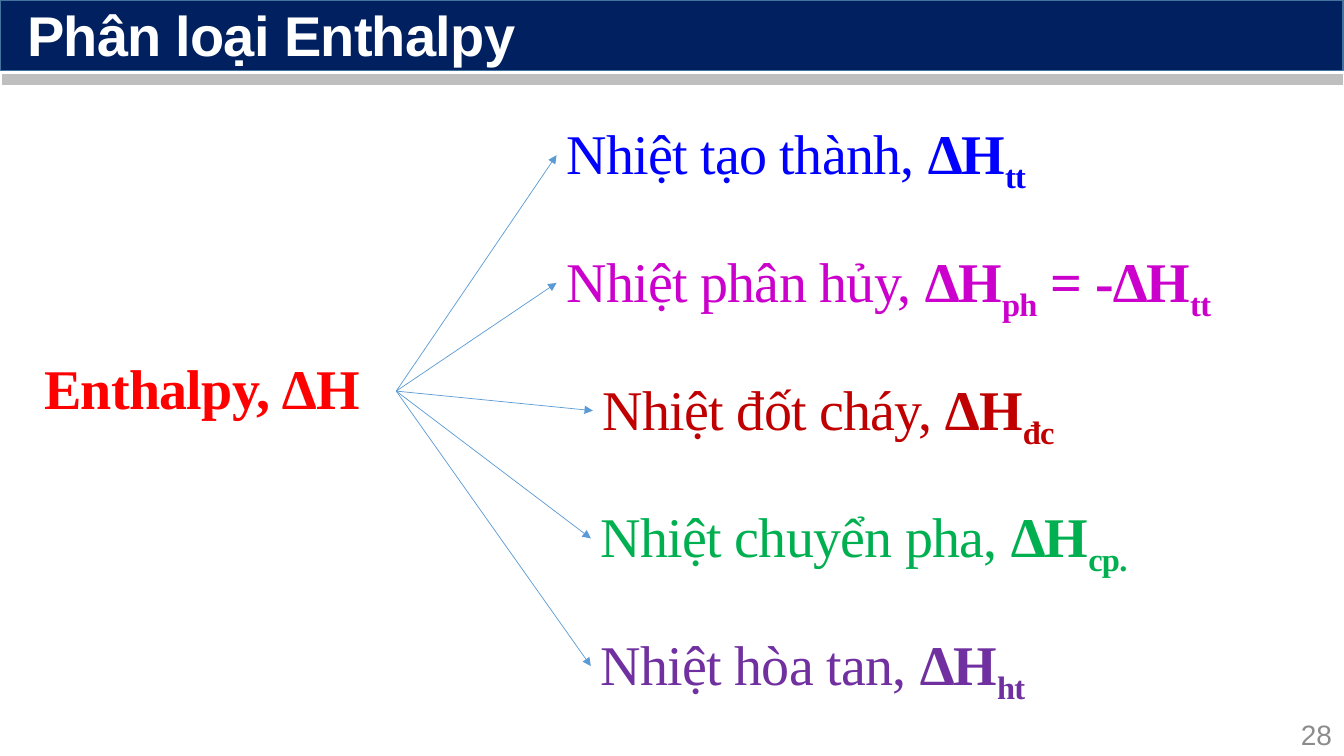
import lxml.etree
import pptx
import pptx.dml.color
import pptx.enum.shapes
import pptx.enum.text
import pptx.oxml.ns
import pptx.util

Inches = pptx.util.Inches
Pt = pptx.util.Pt
qn = pptx.oxml.ns.qn
ANCHOR = pptx.enum.text.MSO_ANCHOR
ALIGN = pptx.enum.text.PP_ALIGN

WIDTH, HEIGHT = 13.33, 7.5
LINE_H = 0.64
ROW_PITCH = 1.267
SERIF = {"name": "Times New Roman", "size": Pt(40)}
TITLE = {"name": "Arial", "size": Pt(40), "bold": True}
NUMBER = {"name": "Arial", "size": Pt(20)}
BRANCHES = [
    (5.52, 4.89, "0000FF", "Nhiệt tạo thành, ", [("∆H", "tt")]),
    (5.52, 6.76, "CC00CC", "Nhiệt phân hủy, ", [("∆H", "ph"), (" = -∆H", "tt")]),
    (5.88, 4.85, "C00000", "Nhiệt đốt cháy, ", [("∆H", "đc")]),
    (5.86, 6.91, "00B050", "Nhiệt chuyển pha, ", [("∆H", "cp.")]),
    (5.86, 6.04, "7030A0", "Nhiệt hòa tan, ", [("∆H", "ht")]),
]


def rgb(color):
    """Turn a hex string into a colour."""
    return pptx.dml.color.RGBColor.from_string(color)


def add_run(p, text, color, font, spacing=-50, baseline=None):
    """Append a formatted run to a paragraph."""
    r = p.add_run()
    r.text = text
    for key, value in font.items():
        setattr(r.font, key, value)
    r.font.color.rgb = rgb(color)
    rpr = r.font._element
    rpr.set("spc", str(spacing))
    if baseline:
        rpr.set("baseline", str(baseline))


def add_text(s, box, anchor=ANCHOR.TOP, align=ALIGN.LEFT, spacing=0.85):
    """Add an empty text box and return its paragraph."""
    tf = s.shapes.add_textbox(*map(Inches, box)).text_frame
    tf.word_wrap = True
    tf.vertical_anchor = anchor
    p = tf.paragraphs[0]
    p.alignment = align
    p.line_spacing = spacing
    return p


def add_line(s, start, end, color, width, arrow=False):
    """Draw a straight line, with an arrowhead at its end if asked."""
    sp = s.shapes.add_connector(pptx.enum.shapes.MSO_CONNECTOR.STRAIGHT,
                                *map(Inches, (*start, *end)))
    sp.line.color.rgb = rgb(color)
    sp.line.width = Pt(width)
    if arrow:
        ln = sp.line._get_or_add_ln()
        lxml.etree.SubElement(ln, qn("a:tailEnd"), type="triangle")
    lxml.etree.SubElement(sp._element.spPr, qn("a:effectLst"))


def header(s, left, top, width, height):
    """Place the title band with the grey rule below it."""
    rule_y = top + height + 0.09
    add_line(s, (left + 0.02, rule_y), (left + width, rule_y), "BFBFBF", 8)
    sp = s.shapes.add_shape(pptx.enum.shapes.MSO_SHAPE.RECTANGLE,
                            *map(Inches, (left, top, width, height)))
    sp.shadow.inherit = False
    sp.fill.solid()
    sp.fill.fore_color.rgb = rgb("002060")
    sp.line.color.rgb = rgb("43739E")
    sp.line.width = Pt(1)
    p = add_text(s, (left + 0.17, top + height - LINE_H, width - 0.35, LINE_H))
    add_run(p, "Phân loại Enthalpy", "FFFFFF", TITLE)


def enthalpy_tree(s, left, top, root_width):
    """Place the root term and an arrow to each kind of enthalpy."""
    root_top = top + 2.34
    p = add_text(s, (left, root_top, root_width, LINE_H))
    add_run(p, "Enthalpy, ∆H", "FF0000", {**SERIF, "bold": True})
    origin = (left + root_width, root_top + LINE_H / 2)
    bold = {**SERIF, "bold": True}
    for row, (x, width, color, label, terms) in enumerate(BRANCHES):
        y = top + row * ROW_PITCH
        add_line(s, origin, (x, y + LINE_H / 2), "5B9BD5", 0.5, arrow=True)
        p = add_text(s, (x, y, width, LINE_H), ANCHOR.MIDDLE)
        add_run(p, label, color, SERIF)
        for symbol, index in terms:
            add_run(p, symbol, color, bold)
            add_run(p, index, color, bold, baseline=-25000)


def page_number(s, left, top, width, height):
    """Place the page number at the bottom right."""
    p = add_text(s, (left, top, width, height), ANCHOR.MIDDLE, ALIGN.RIGHT, 1.0)
    add_run(p, "28", "8C8C8C", NUMBER, spacing=0)


def main():
    """Build and save the slide."""
    prs = pptx.Presentation()
    prs.slide_width, prs.slide_height = Inches(WIDTH), Inches(HEIGHT)
    s = prs.slides.add_slide(prs.slide_layouts[6])
    header(s, 0, 0, 13.32, 0.7)
    enthalpy_tree(s, 0.34, 1.22, 3.59)
    page_number(s, WIDTH - 0.55, HEIGHT - 0.44, 0.53, 0.44)
    prs.save("out.pptx")


if __name__ == "__main__":
    main()
